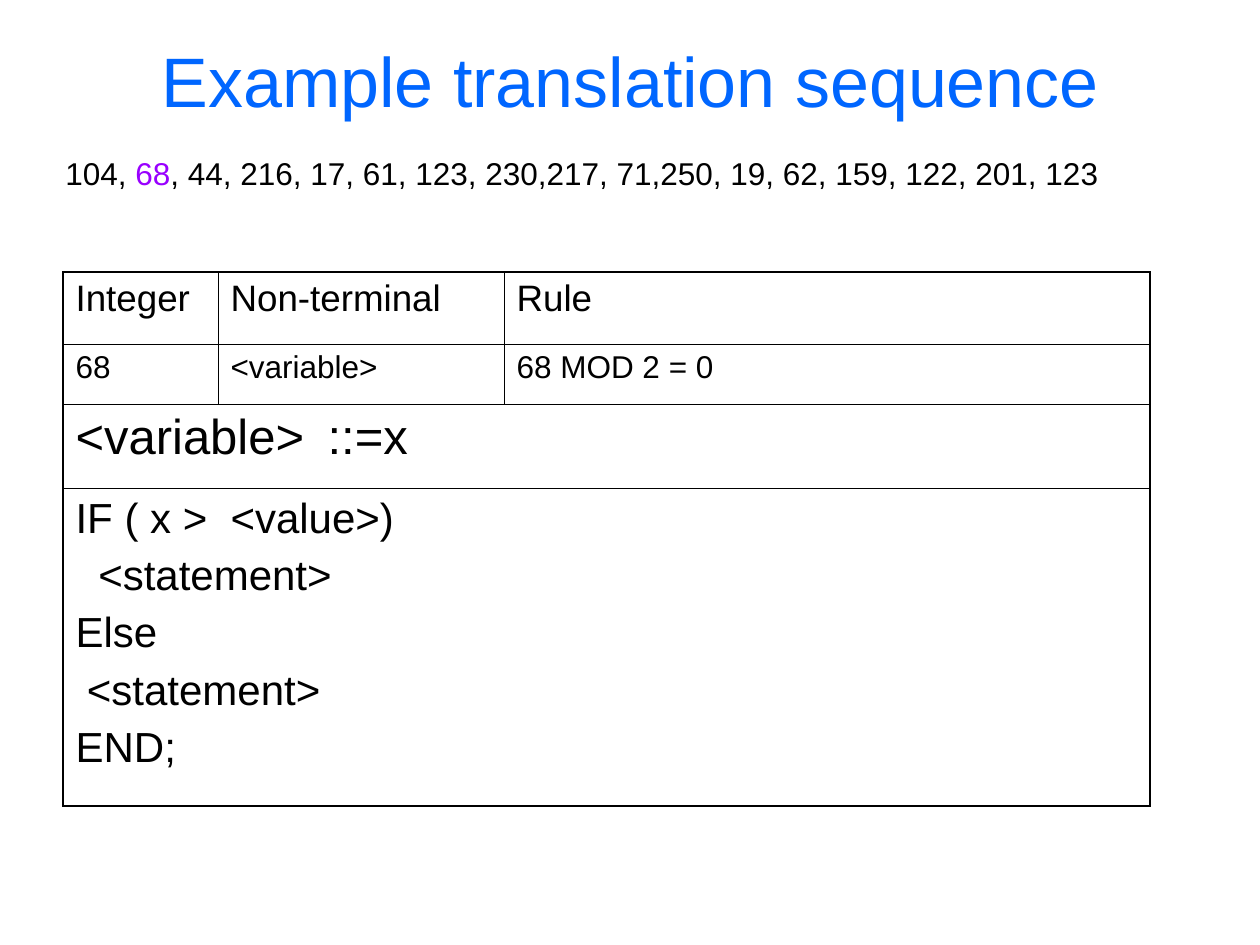
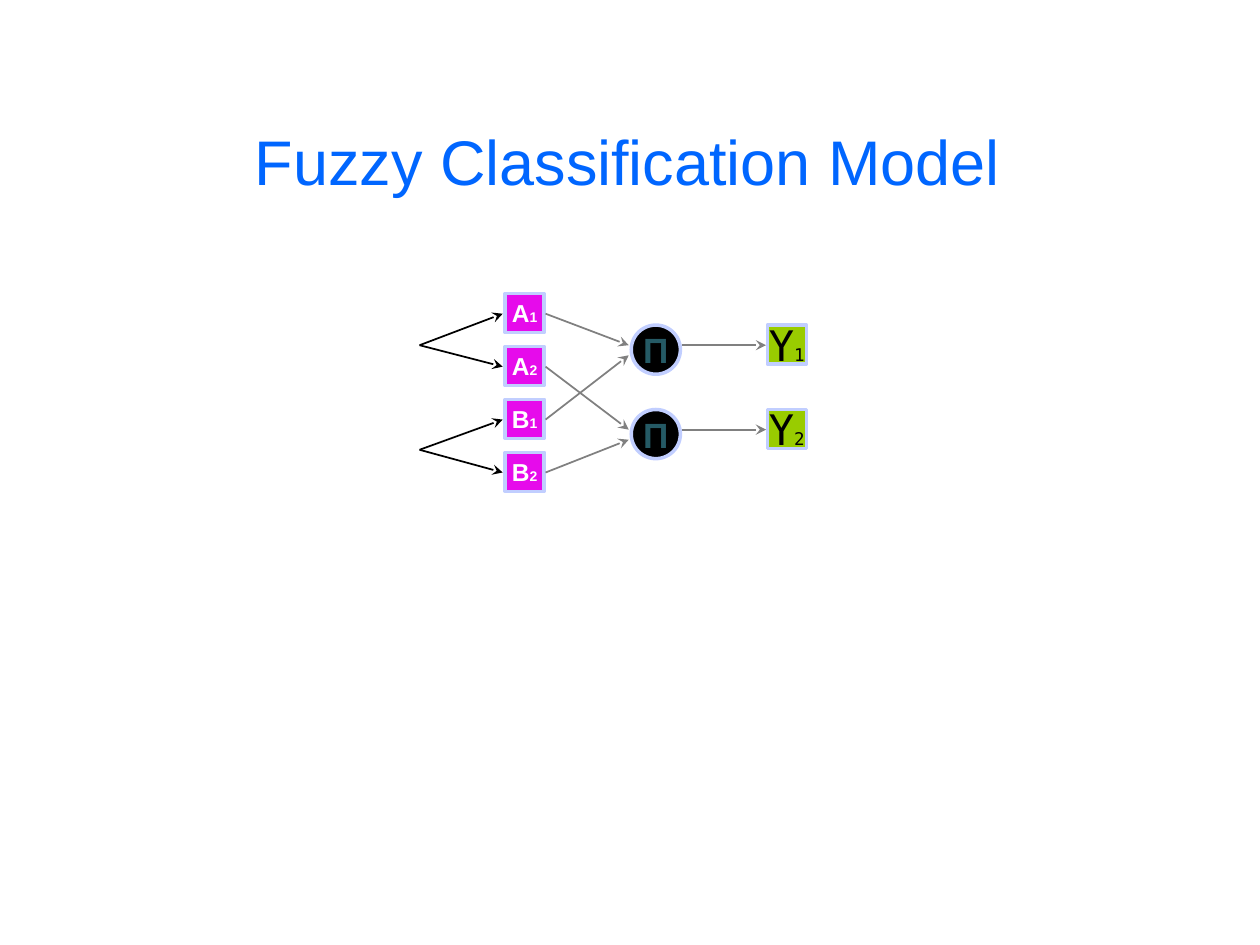
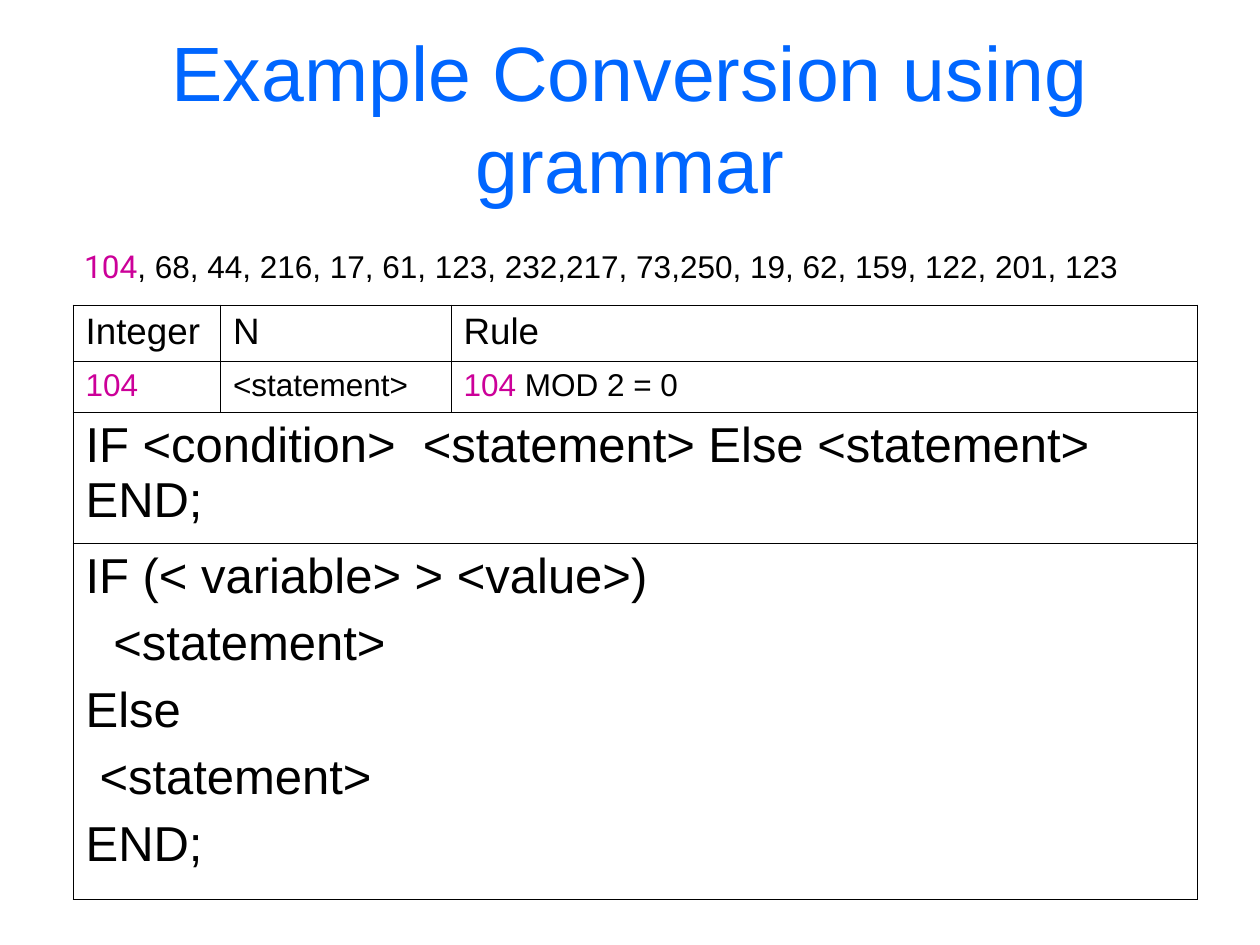
import pptx
import pptx.dml.color
import pptx.enum.shapes
import pptx.enum.text
import pptx.oxml
import pptx.oxml.ns
import pptx.util

Inches = pptx.util.Inches
Pt = pptx.util.Pt
RGBColor = pptx.dml.color.RGBColor
Align = pptx.enum.text.PP_ALIGN
Anchor = pptx.enum.text.MSO_ANCHOR
Shape = pptx.enum.shapes.MSO_SHAPE

BLACK = RGBColor(0x00, 0x00, 0x00)
WHITE = RGBColor(0xFF, 0xFF, 0xFF)
BLUE = RGBColor(0x00, 0x66, 0xFF)
PURPLE = RGBColor(0x99, 0x00, 0xFF)
PINK = RGBColor(0xCC, 0x00, 0x99)
MAGENTA = RGBColor(0xE6, 0x0B, 0xEB)
GREEN = RGBColor(0x99, 0xCC, 0x00)
TEAL = RGBColor(0x25, 0x5A, 0x65)
GREY = RGBColor(0x80, 0x80, 0x80)
EDGE = RGBColor(0xC1, 0xCE, 0xFF)

SANS = "Arial"
MONO = "DejaVu Sans Mono"
DIGITS = "Roboto"
HEAD_SIZE, RULE_SIZE, BODY_SIZE = 21, 18, 28
THIN = 0.45


class Deck:
    """Holds the shared style and the current slide."""

    def __init__(self):
        self.prs = pptx.Presentation()
        self.prs.slide_width = Inches(10)
        self.prs.slide_height = Inches(7.5)
        self.s = None

    def new_slide(self):
        self.s = self.prs.slides.add_slide(self.prs.slide_layouts[6])

    def fill_paragraph(self, p, runs, size, font=SANS, bold=False, align=Align.LEFT):
        p.alignment = align
        p.font.size, p.font.name, p.font.bold = Pt(size), font, bold
        for text, colour, *style in runs:
            r = p.add_run()
            r.text = text
            r.font.color.rgb = colour
            for changes in style:
                r.font.size = changes.get("size")
                r.font.name = changes.get("name")

    def text(self, at, runs, size, align=Align.LEFT, anchor=Anchor.TOP, wrap=True):
        sp = self.s.shapes.add_textbox(*map(Inches, at))
        tf = sp.text_frame
        tf.word_wrap = wrap
        tf.vertical_anchor = anchor
        self.fill_paragraph(tf.paragraphs[0], runs, size, align=align)
        return tf

    def title(self, text, size, at=(0.5, 0.3, 9, 1.25), anchor=Anchor.MIDDLE):
        tf = self.text(at, [(text, BLUE)], size, Align.CENTER, anchor)
        tf.margin_top = tf.margin_bottom = 0

    def node(self, kind, x, y, side, fill, runs, size, font=SANS, bold=True):
        sp = self.s.shapes.add_shape(kind, *map(Inches, (x, y, side, side)))
        sp.shadow.inherit = False
        sp.fill.solid()
        sp.fill.fore_color.rgb = fill
        sp.line.color.rgb = EDGE
        sp.line.width = Pt(2)
        tf = sp.text_frame
        tf.word_wrap = False
        tf.vertical_anchor = Anchor.MIDDLE
        self.fill_paragraph(tf.paragraphs[0], runs, size, font, bold, Align.CENTER)

    def arrow(self, start, end, colour):
        sp = self.s.shapes.add_connector(
            pptx.enum.shapes.MSO_CONNECTOR.STRAIGHT, *map(Inches, start + end))
        sp.line.color.rgb = colour
        sp.line.width = Pt(1)
        sp_pr = sp._element.spPr
        ln = sp_pr.find(pptx.oxml.ns.qn("a:ln"))
        ln.append(ln.makeelement(pptx.oxml.ns.qn("a:tailEnd"), {"type": "stealth"}))
        sp_pr.append(sp_pr.makeelement(pptx.oxml.ns.qn("a:effectLst"), {}))

    def borders(self, cell, widths):
        tc_pr = cell._tc.get_or_add_tcPr()
        for i, (side, width) in enumerate(zip("LRTB", widths)):
            tc_pr.insert(i, pptx.oxml.parse_xml(
                f'<a:ln{side} {pptx.oxml.ns.nsdecls("a")} w="{int(Pt(width))}">'
                f'<a:solidFill><a:srgbClr val="{BLACK}"/></a:solidFill></a:ln{side}>'))

    def cell_text(self, cell, lines, size):
        tf = cell.text_frame
        for i, (indent, runs) in enumerate(lines):
            p = tf.add_paragraph() if i else tf.paragraphs[0]
            self.fill_paragraph(p, runs, size)
            p.space_before = Pt(size / 4)
            if indent:
                p._p.get_or_add_pPr().set("marL", str(int(Inches(indent))))

    def grammar_table(self, at, cols, heights, rules, production, code, code_size, outer):
        frame = self.s.shapes.add_table(
            len(heights), len(cols), *map(Inches, at + (sum(cols), sum(heights))))
        table = frame.table
        table.first_row = table.horz_banding = False
        for col, width in zip(table.columns, cols):
            col.width = Inches(width)
        for row, height in zip(table.rows, heights):
            row.height = Inches(height)
        last_row, last_col = len(heights) - 1, len(cols) - 1
        for r in (2, 3):
            table.cell(r, 0).merge(table.cell(r, last_col))
        for r in range(last_row + 1):
            for c in range(last_col + 1):
                cell = table.cell(r, c)
                cell.fill.solid()
                cell.fill.fore_color.rgb = WHITE
                at_edge = (c == 0, c == last_col or cell.is_merge_origin,
                           r == 0, r == last_row)
                self.borders(cell, [outer if edge else THIN for edge in at_edge])
        for r, (row, size) in enumerate(zip(rules, (HEAD_SIZE, RULE_SIZE))):
            for c, runs in enumerate(row):
                self.cell_text(table.cell(r, c), [(0, runs)], size)
        self.cell_text(table.cell(2, 0), [(0, [(production, BLACK)])], BODY_SIZE)
        lines = [(indent, [(text, BLACK)]) for indent, text in code]
        self.cell_text(table.cell(3, 0), lines, code_size)


def plain(*texts):
    return [[(text, BLACK)] for text in texts]


def if_block(condition, step):
    return [(0, condition), (2 * step, "<statement>"), (0, "Else"),
            (step, "<statement>"), (0, "END;")]


def translation_slide(deck):
    deck.new_slide()
    deck.title("Example translation sequence", 40, anchor=Anchor.TOP)
    deck.grammar_table(
        (0.5, 2.16), (1.23, 2.27, 5.13), (0.57, 0.48, 0.67, 2.52),
        [plain("Integer", "Non-terminal", "Rule"),
         plain("68", "<variable>", "68 MOD 2 = 0")],
        "<variable>\t::=x", if_block("IF ( x >  <value>)", 0.09), 24, 1.08)
    deck.text((0.42, 1.17, 8.4, 0.4), [
        ("104, ", BLACK), ("68", PURPLE),
        (", 44, 216, 17, 61, 123, 230,217, 71,250, 19, 62, 159, 122, 201, 123", BLACK),
    ], 18, wrap=False)


def fuzzy_slide(deck):
    deck.new_slide()
    set_gap, rule_gap, input_gap = 0.42, 0.67, 0.83
    for i in range(4):
        variable, rule = divmod(i, 2)
        centre = 2.49 + i * set_gap
        deck.node(Shape.RECTANGLE, 4.01, 2.33 + i * set_gap, 0.31, MAGENTA,
                  [("AB"[variable], WHITE), (str(rule + 1), WHITE, {"size": Pt(8)})], 14)
        deck.arrow((3.33, 2.74 + variable * input_gap), (3.99, centre), BLACK)
        deck.arrow((4.33, centre),
                   (4.99, 2.74 + rule * rule_gap + variable * 0.08), GREY)
    for i in range(2):
        top, centre = 2.58 + i * rule_gap, 2.74 + i * rule_gap
        deck.node(Shape.OVAL, 5.01, top, 0.39, BLACK, [("Π", TEAL)], 20)
        deck.node(Shape.RECTANGLE, 6.09, top, 0.31, GREEN,
                  [("Y", BLACK), (str(i + 1), BLACK, {"size": Pt(10)})],
                  24, MONO, False)
        deck.arrow((5.41, centre), (6.08, centre), GREY)
    deck.title("Fuzzy Classification Model", 36, (1.92, 0.92, 6.12, 0.7))


def conversion_slide(deck):
    deck.new_slide()
    deck.title("Example Conversion using grammar", 44)
    deck.grammar_table(
        (0.58, 2.42), (1.17, 1.83, 5.92), (0.45, 0.4, 1.04, 2.83),
        [plain("Integer", "N", "Rule"),
         [[("104", PINK)], [("<statement>", BLACK)],
          [("104", PINK), (" MOD 2 = 0", BLACK)]]],
        "IF <condition>  <statement> Else <statement> END;",
        if_block("IF (< variable> > <value>)", 0.11), BODY_SIZE, THIN)
    deck.text((0.57, 1.91, 8.41, 0.4), [
        ("104", PINK, {"name": DIGITS}),
        (", 68, 44, 216, 17, 61, 123, 232,217, 73,250, 19, 62, 159, 122, 201, 123", BLACK),
    ], 18, wrap=False)


def main():
    deck = Deck()
    translation_slide(deck)
    fuzzy_slide(deck)
    conversion_slide(deck)
    deck.prs.save("out.pptx")


if __name__ == "__main__":
    main()
